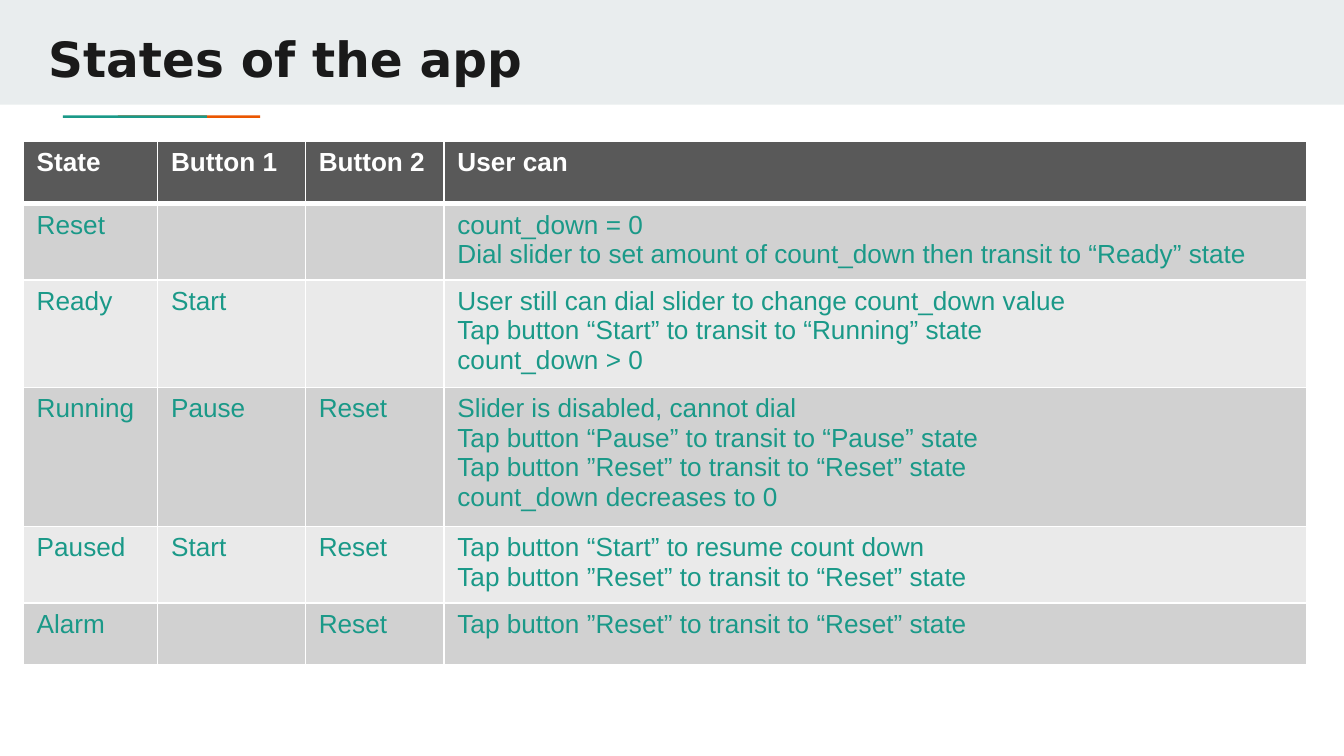
from lxml.etree import SubElement
from pptx import Presentation
from pptx.dml.color import RGBColor
from pptx.enum.shapes import MSO_SHAPE
from pptx.oxml.ns import qn
from pptx.util import Cm, Pt

WHITE = RGBColor(0xFF, 0xFF, 0xFF)
INK = RGBColor(0x1A, 0x1A, 0x1A)
BAND = RGBColor(0xE9, 0xED, 0xEE)
TEAL = RGBColor(0x1A, 0x99, 0x88)
ORANGE = RGBColor(0xEB, 0x56, 0x00)
HEADER = RGBColor(0x59, 0x59, 0x59)
ROW_DARK = RGBColor(0xD1, 0xD1, 0xD1)
ROW_LIGHT = RGBColor(0xEA, 0xEA, 0xEA)


def write(frame, text, size=14, color=TEAL, bold=False, font="Arial"):
    """Fill the first paragraph; newlines become line breaks."""
    paragraph = frame.paragraphs[0]
    paragraph.text = text
    for run in paragraph.runs:
        run.font.size = Pt(size)
        run.font.name = font
        run.font.bold = bold
        run.font.color.rgb = color
    for line_break in paragraph._p.findall(qn("a:br")):
        SubElement(line_break, qn("a:rPr"), sz=str(size * 100))


def add_border(cell, side, width):
    line = SubElement(cell._tc.get_or_add_tcPr(), qn(f"a:{side}"), w=str(Pt(width)))
    fill = SubElement(line, qn("a:solidFill"))
    SubElement(fill, qn("a:srgbClr"), val=str(WHITE))


deck = Presentation()
deck.slide_width, deck.slide_height = Cm(25.4), Cm(14.29)
slide = deck.slides.add_slide(deck.slide_layouts[6])

# Title band and the two overlapping accent strokes
for left, top, width, height, color in (
    (0, 0, 25.4, 1.98, BAND),
    (2.23, 2.18, 2.69, 0.05, ORANGE),
    (1.19, 2.18, 2.72, 0.05, TEAL),
):
    bar = slide.shapes.add_shape(
        MSO_SHAPE.RECTANGLE, Cm(left), Cm(top), Cm(width), Cm(height))
    bar.shadow.inherit = False
    bar.fill.solid()
    bar.fill.fore_color.rgb = color
    bar.line.fill.background()

# Title
title = slide.shapes.add_textbox(Cm(0.66), Cm(0.3), Cm(24.18), Cm(1.5)).text_frame
title.word_wrap = True
title.margin_left = title.margin_right = Cm(0.25)
title.margin_top = title.margin_bottom = Cm(0.25)
write(title, "States of the app", size=26, color=INK, bold=True, font="DejaVu Sans")

# State table: one row per state, with its buttons and possible actions
ROWS = [
    ("State", "Button 1", "Button 2", "User can"),
    ("Reset", "", "", "count_down = 0\n"
     "Dial slider to set amount of count_down then transit to “Ready” state"),
    ("Ready", "Start", "", "User still can dial slider to change count_down value\n"
     "Tap button “Start” to transit to “Running” state\n"
     "count_down > 0"),
    ("Running", "Pause", "Reset", "Slider is disabled, cannot dial\n"
     "Tap button “Pause” to transit to “Pause” state\n"
     "Tap button ”Reset” to transit to “Reset” state\n"
     "count_down decreases to 0"),
    ("Paused", "Start", "Reset", "Tap button “Start” to resume count down\n"
     "Tap button ”Reset” to transit to “Reset” state"),
    ("Alarm", "", "Reset", "Tap button ”Reset” to transit to “Reset” state"),
]
COLUMN_WIDTHS = (2.54, 2.79, 2.62, 16.31)
ROW_HEIGHT = 1.18

states = slide.shapes.add_table(
    len(ROWS), len(COLUMN_WIDTHS), Cm(0.44), Cm(2.67),
    Cm(sum(COLUMN_WIDTHS)), Cm(ROW_HEIGHT * len(ROWS))).table
for column, width in zip(states.columns, COLUMN_WIDTHS):
    column.width = Cm(width)

for r, row in enumerate(ROWS):
    is_header = r == 0
    row_fill = HEADER if is_header else ROW_DARK if r % 2 else ROW_LIGHT
    for c, text in enumerate(row):
        cell = states.cell(r, c)
        # Borders come before the fill in the cell properties
        for side in ("lnL", "lnR", "lnT", "lnB"):
            thick = (is_header and side == "lnB") or (r == 1 and side == "lnT")
            add_border(cell, side, 3 if thick else 1)
        cell.fill.solid()
        cell.fill.fore_color.rgb = row_fill
        if text:
            write(cell.text_frame, text, color=WHITE if is_header else TEAL,
                  bold=is_header)

deck.save("out.pptx")
